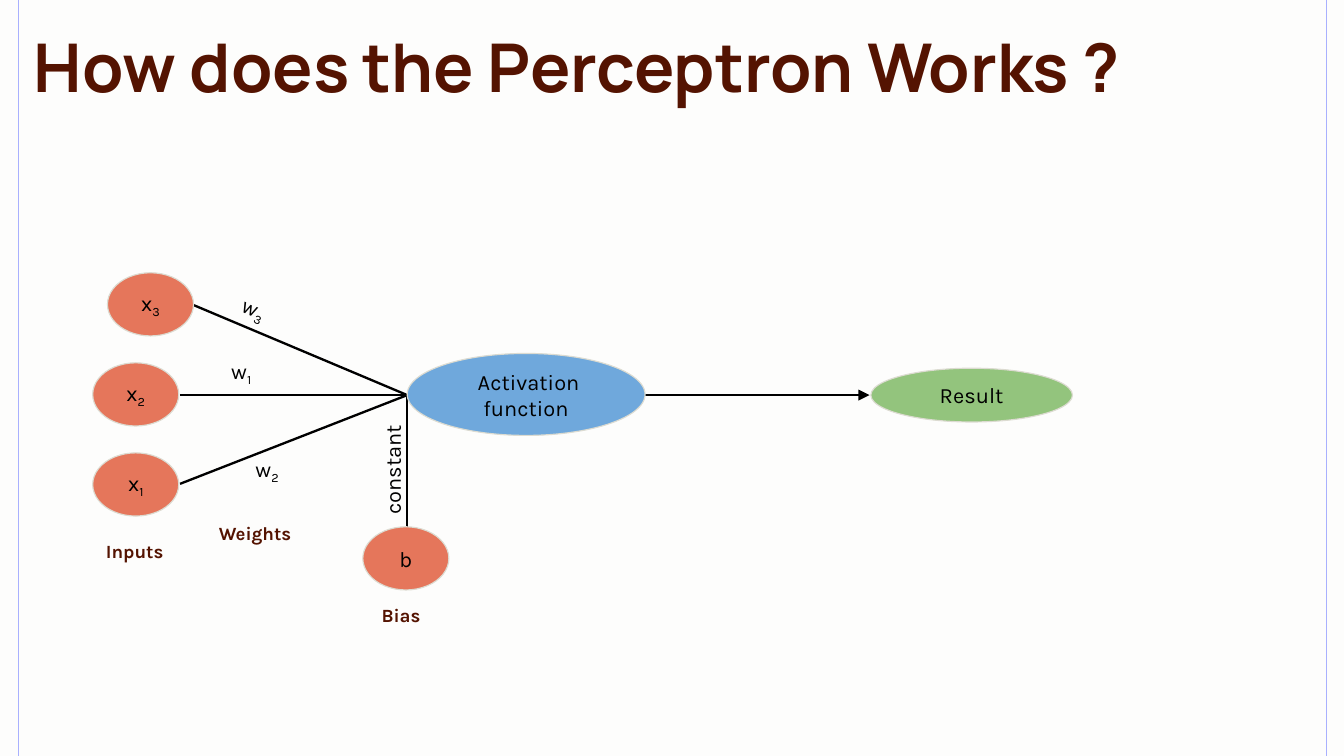
from pptx import Presentation
from pptx import util as u
from pptx.dml.color import RGBColor
from pptx.enum import shapes, text
from pptx.oxml.ns import qn
from lxml import etree

INK = {"page": "FDFDFC", "guide": "A9B0FE", "brown": "541301", "black": "000000",
       "coral": "E5765B", "blue": "6FA8DC", "green": "93C47D", "edge": "DCDBD1"}
MID = 2.94  # height of the main axis
HUB = 3.03  # where all inputs meet


def color(name):
    return RGBColor.from_string(INK[name])


def write(shape, words, size=11.7, font="Karla", ink="black", bold=False,
          align="LEFT", anchor="TOP", pad=(0.08, 0.08), space=None):
    """Fill a shape with text; an underscore starts a subscript."""
    frame = shape.text_frame
    frame.word_wrap = True
    frame.vertical_anchor = getattr(text.MSO_ANCHOR, anchor)
    frame.margin_left = frame.margin_right = u.Inches(pad[0])
    frame.margin_top = frame.margin_bottom = u.Inches(pad[1])
    para = frame.paragraphs[0]
    para.alignment = getattr(text.PP_ALIGN, align)
    if space:
        para.line_spacing = space
    for level, part in enumerate(words.split("_")):
        run = para.add_run()
        run.text = part
        run.font.size = u.Pt(size)
        run.font.name = font
        run.font.bold = bold
        run.font.color.rgb = color(ink)
        if level:
            run._r.get_or_add_rPr().set("baseline", "-25000")


# Slide in the 16:9 format
deck = Presentation()
deck.slide_width = u.Inches(10)
deck.slide_height = u.Inches(10 * 9 / 16)
slide = deck.slides.add_slide(deck.slide_layouts[5])
slide.background.fill.solid()
slide.background.fill.fore_color.rgb = color("page")

# Title
title = slide.shapes.title
title.left, title.top = u.Inches(0.15), u.Inches(0.26)
title.width, title.height = u.Inches(9.11), u.Inches(0.55)
write(title, "How does the Perceptron Works ?", size=36, font="Manrope",
      ink="brown", bold=True, pad=(0.1, 0), space=0.9)
title.text_frame.auto_size = text.MSO_AUTO_SIZE.NONE

# Page guides, then the links of the network
links = [(x, 0, x, 5.63, "guide", 0.75) for x in (0.14, 9.87)]
links += [(x, y, HUB, MID, "black", 1.25)
          for x, y in ((1.44, 2.27), (1.34, MID), (1.34, 3.6), (HUB, 3.92))]
links.append((4.79, MID, 6.47, MID, "black", 1.25))
for x1, y1, x2, y2, ink, width in links:
    link = slide.shapes.add_connector(
        shapes.MSO_CONNECTOR.STRAIGHT, *map(u.Inches, (x1, y1, x2, y2)))
    link.line.color.rgb = color(ink)
    link.line.width = u.Pt(width)
    etree.SubElement(link._element.spPr, qn("a:effectLst"))

# The last link leads to the result
etree.SubElement(link.line._get_or_add_ln(), qn("a:tailEnd"), type="triangle")

# Nodes
nodes = [(0.8, 2.03, 0.64, 0.47, "coral", "x_3"),
         (0.69, 2.7, 0.64, 0.47, "coral", "x_2"),
         (0.69, 3.37, 0.64, 0.47, "coral", "x_1"),
         (2.7, 3.92, 0.64, 0.47, "coral", "b"),
         (3.03, 2.63, 1.77, 0.61, "blue", " Activation function"),
         (6.48, 2.74, 1.5, 0.4, "green", "Result")]
for *place, fill, words in nodes:
    node = slide.shapes.add_shape(shapes.MSO_SHAPE.OVAL, *map(u.Inches, place))
    node.shadow.inherit = False
    node.fill.solid()
    node.fill.fore_color.rgb = color(fill)
    node.line.color.rgb = color("edge")
    node.line.width = u.Pt(0.63)
    write(node, words, align="CENTER", anchor="MIDDLE")

# Weight labels and captions
label = {}
caption = {"size": 10, "ink": "brown", "bold": True, "pad": (0.1, 0.1)}
notes = [(1.69, 2.3, 1.25, 0.34, 23.6, "w_3", label),
         (1.64, 2.58, 0.85, 0.18, 0, "w_1", label),
         (1.82, 3.31, 0.49, 0.37, 0, "w_2", label),
         (2.41, 3.21, 1.03, 0.37, 270, "constant", label),
         (0.69, 3.93, 0.92, 0.61, 0, "Inputs", caption),
         (1.53, 3.8, 0.92, 0.61, 0, "Weights", caption),
         (2.74, 4.41, 0.92, 0.61, 0, "Bias", caption)]
for *place, turn, words, style in notes:
    note = slide.shapes.add_textbox(*map(u.Inches, place))
    note.rotation = turn
    write(note, words, **style)

deck.save("out.pptx")
